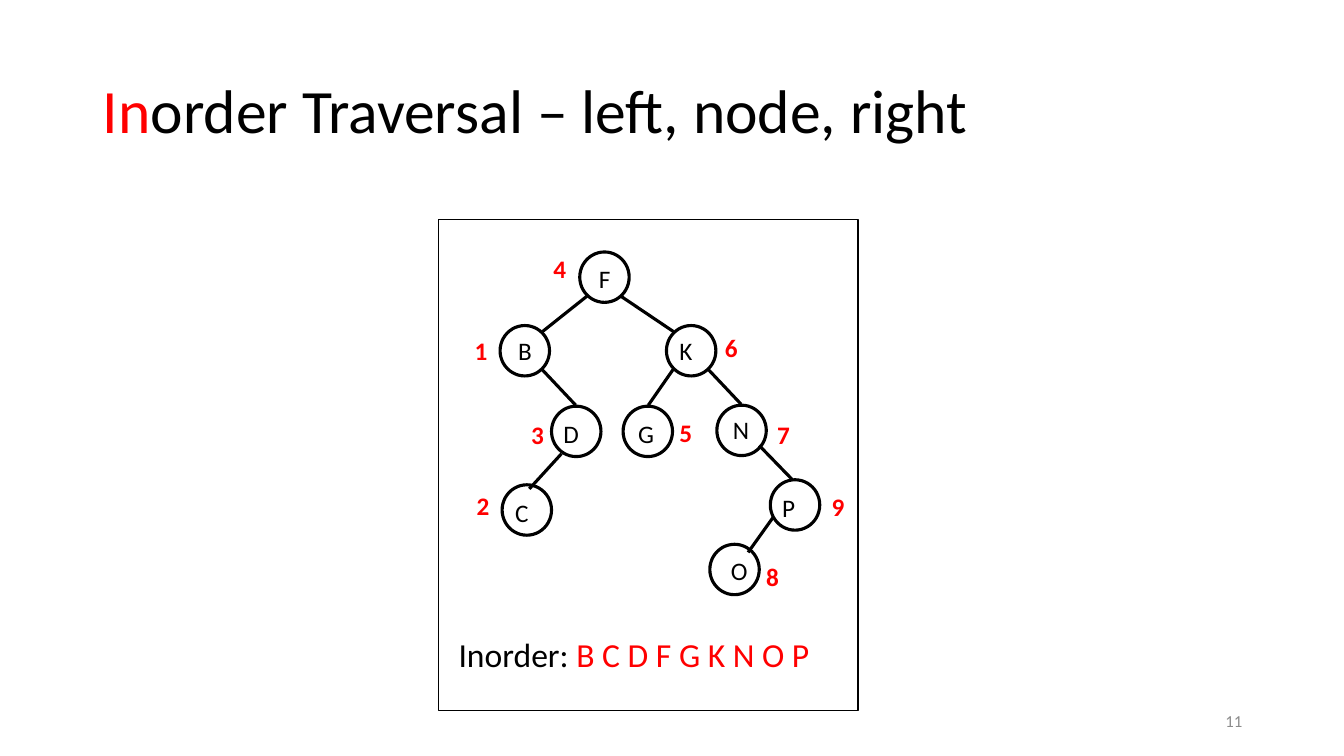
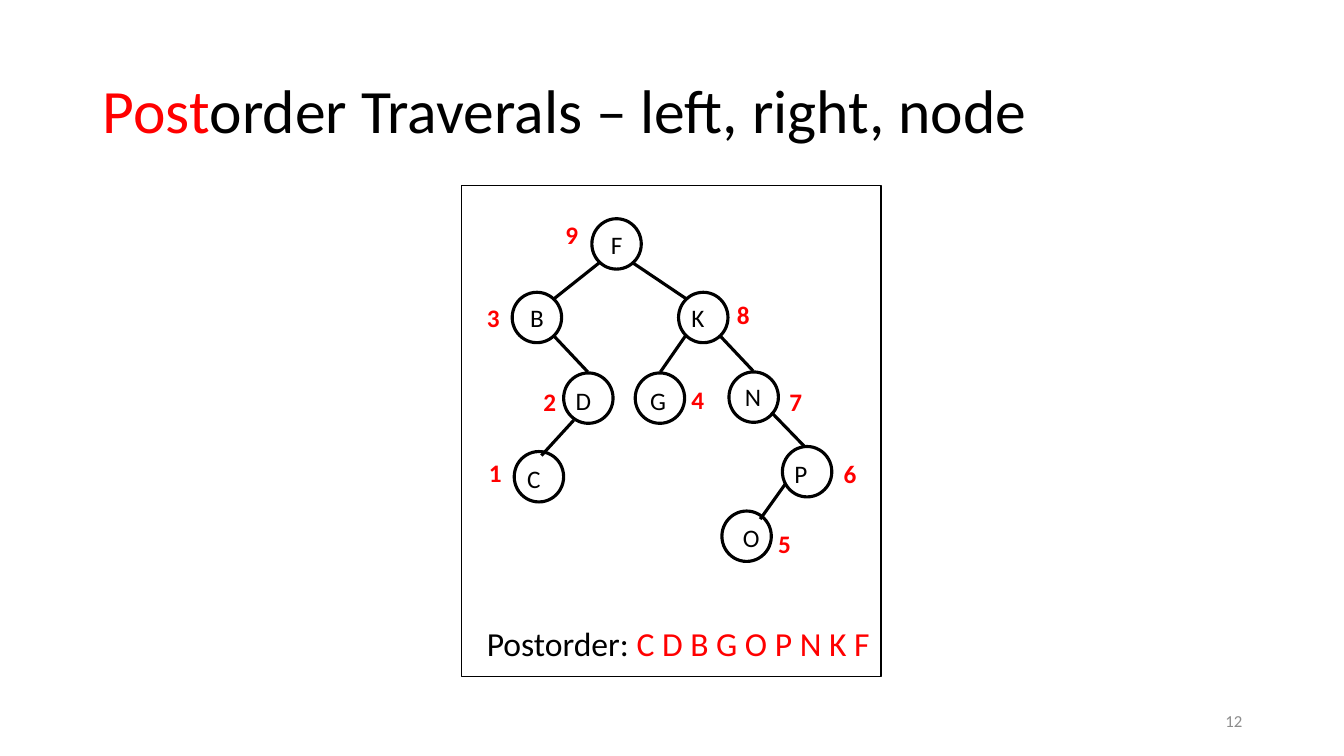
import lxml.etree
import pptx
import pptx.dml.color
import pptx.enum.shapes
import pptx.enum.text
import pptx.oxml.ns
import pptx.util
from dataclasses import dataclass
from pptx.util import Inches


@dataclass(frozen=True)
class Theme:
    font: str = "Calibri"
    ink: str = "000000"
    accent: str = "FF0000"
    muted: str = "8C8C8C"
    title: int = 44
    caption: int = 24
    node: int = 18
    footer: int = 12
    frame_line: float = 1
    tree_line: float = 2.25


theme = Theme()
rgb = pptx.dml.color.RGBColor.from_string
align = pptx.enum.text.PP_ALIGN
anchors = pptx.enum.text.MSO_ANCHOR
shapes = pptx.enum.shapes.MSO_SHAPE


def add_text(page, spans, left, top, width, height, size, bold=False,
             alignment=align.LEFT, anchor=anchors.TOP, line_spacing=None):
    """Add a one-paragraph box; spans is a list of (text, colour) pairs."""
    box = page.shapes.add_textbox(Inches(left), Inches(top), Inches(width), Inches(height))
    box.text_frame.word_wrap = True
    box.text_frame.vertical_anchor = anchor
    para = box.text_frame.paragraphs[0]
    para.alignment = alignment
    para.line_spacing = line_spacing
    for text, colour in spans:
        span = para.add_run()
        span.text = text
        span.font.name = theme.font
        span.font.size = pptx.util.Pt(size)
        span.font.bold = bold
        span.font.color.rgb = rgb(colour)


def add_outline(page, kind, left, top, width, height, line_width):
    shape = page.shapes.add_shape(kind, Inches(left), Inches(top), Inches(width), Inches(height))
    shape.shadow.inherit = False
    shape.fill.background()
    shape.line.color.rgb = rgb(theme.ink)
    shape.line.width = pptx.util.Pt(line_width)


# Letter: left and top of its circle, of its letter and of its visit number
nodes = {
    "F": ((5.75, 2.50), (5.84, 2.56), (5.39, 2.46)),
    "B": ((4.96, 3.23), (5.04, 3.28), (4.61, 3.28)),
    "K": ((6.61, 3.23), (6.64, 3.28), (7.09, 3.25)),
    "D": ((5.47, 4.03), (5.49, 4.10), (5.17, 4.11)),
    "G": ((6.18, 4.03), (6.23, 4.10), (6.64, 4.09)),
    "N": ((7.11, 4.02), (7.17, 4.06), (7.61, 4.11)),
    "C": ((4.98, 4.81), (5.01, 4.88), (4.63, 4.82)),
    "P": ((7.64, 4.76), (7.66, 4.83), (8.15, 4.83)),
    "O": ((7.04, 5.40), (7.15, 5.46), (7.50, 5.52)),
}
# Start and end of each branch, from parent to child
branches = [
    (5.82, 2.94, 5.38, 3.29),
    (6.16, 2.94, 6.68, 3.29),
    (5.38, 3.67, 5.71, 4.02),
    (6.68, 3.66, 6.43, 4.02),
    (7.02, 3.66, 7.35, 4.01),
    (5.57, 4.50, 5.25, 4.85),
    (7.53, 4.42, 7.86, 4.76),
    (7.67, 5.13, 7.42, 5.48),
]
# Each traversal: shift moves the whole tree, frame and caption are left and top
traversals = [
    dict(prefix="In", title="order Traversal – left, node, right", order="BCDFGKNOP",
         number=11, shift=(0, 0), frame=(4.35, 2.18), caption=(4.45, 6.24)),
    dict(prefix="Post", title="order Traverals – left, right, node", order="CDBGOPNKF",
         number=12, shift=(0.12, -0.33), frame=(4.58, 1.84), caption=(4.73, 6.13)),
]

deck = pptx.Presentation()
deck.slide_width = Inches(13.33)
deck.slide_height = Inches(7.5)

for traversal in traversals:
    page = deck.slides.add_slide(deck.slide_layouts[6])
    prefix, order = traversal["prefix"], traversal["order"]
    dx, dy = traversal["shift"]

    add_text(page, [(prefix, theme.accent), (traversal["title"], theme.ink)],
             0.92, 0.4, 11.5, 1.45, theme.title, anchor=anchors.MIDDLE, line_spacing=0.9)
    add_text(page, [(str(traversal["number"]), theme.muted)], 9.42, 6.95, 3, 0.4,
             theme.footer, alignment=align.RIGHT, anchor=anchors.MIDDLE)
    add_outline(page, shapes.RECTANGLE, *traversal["frame"], 4.16, 4.87, theme.frame_line)

    for x1, y1, x2, y2 in branches:
        branch = page.shapes.add_connector(
            pptx.enum.shapes.MSO_CONNECTOR.STRAIGHT,
            Inches(x1 + dx), Inches(y1 + dy), Inches(x2 + dx), Inches(y2 + dy))
        branch.line.color.rgb = rgb(theme.ink)
        branch.line.width = pptx.util.Pt(theme.tree_line)
        lxml.etree.SubElement(branch.element.spPr, pptx.oxml.ns.qn("a:effectLst"))

    for letter, (circle, label, visit) in nodes.items():
        add_outline(page, shapes.OVAL, circle[0] + dx, circle[1] + dy, 0.49, 0.5,
                    theme.tree_line)
        add_text(page, [(letter, theme.ink)], label[0] + dx, label[1] + dy, 0.39, 0.35,
                 theme.node)
        add_text(page, [(str(order.index(letter) + 1), theme.accent)],
                 visit[0] + dx, visit[1] + dy, 0.36, 0.4, theme.node, bold=True)

    add_text(page, [(f"{prefix}order: ", theme.ink), (" ".join(order), theme.accent)],
             *traversal["caption"], 4.1, 0.5, theme.caption)

deck.save("out.pptx")
